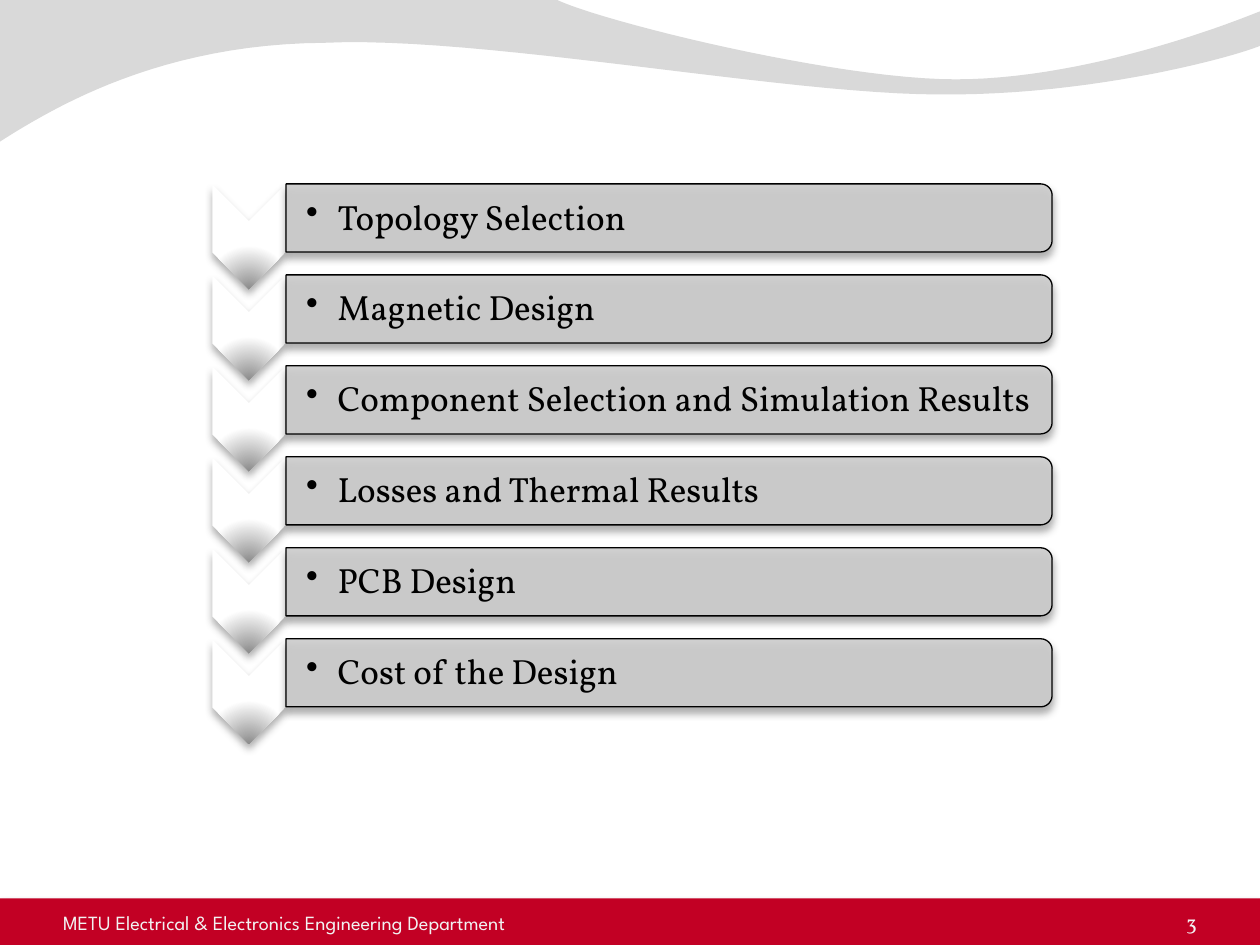
from typing import NamedTuple

from lxml.etree import SubElement
from pptx import Presentation
from pptx.dml.color import RGBColor
from pptx.enum.shapes import MSO_SHAPE
from pptx.enum.text import MSO_ANCHOR, PP_ALIGN
from pptx.oxml import parse_xml
from pptx.oxml.ns import nsdecls, qn
from pptx.util import Inches, Pt

COLORS = {
    "footer": "C20024", "footer_text": "F2F2F2", "footer_shadow": "042747",
    "wave": "D9D9D9", "bar": "CCCCCC", "ink": "000000", "bar_shadow": "484848",
    "chevron_tip": "8C8C8C", "chevron": "FFFFFF", "chevron_shadow": "5A5A5A",
}
TOPICS = [
    "Topology Selection",
    "Magnetic Design",
    "Component Selection and Simulation Results",
    "Losses and Thermal Results",
    "PCB Design",
    "Cost of the Design",
]
PITCH = (5.2 - 1.59) / (len(TOPICS) - 1)


class Box(NamedTuple):
    left: float
    top: float
    width: float
    height: float

    def down(self, distance: float) -> "Box":
        return self._replace(top=self.top + distance)

    def lengths(self) -> list:
        return [Inches(value) for value in self]


# Boxes of the first row; chevron and bar are turned by 90 degrees
CHEVRON = Box(1.56, 1.59, 0.83, 0.58)
BAR = Box(5.04, -1.31, 0.54, 6.08)
LABEL = Box(2.27, 1.49, 6.06, 0.49)

# Each wave segment is one end point, or two control points and an end point
WAVE_START = (0, -0.01)
WAVE_SEGMENTS = [
    [(4.4, -0.01)],
    [(4.76, 0.17), (6.64, 0.63), (7.58, 0.63)],
    [(8.53, 0.63), (9.58, 0.26), (10, 0.09)],
    [(10.01, 0.36)],
    [(9.83, 0.44), (8.7, 0.76), (7.46, 0.75)],
    [(6.22, 0.75), (3.82, 0.28), (2.57, 0.34)],
    [(1.29, 0.35), (0.46, 0.83), (-0.01, 1.13)],
]


def rgb(name: str) -> RGBColor:
    return RGBColor.from_string(COLORS[name])


def curve_points(start: tuple, controls: list, steps: int = 24) -> list:
    """Points along a cubic Bezier curve, without its start."""
    points = []
    for step in range(1, steps + 1):
        t = step / steps
        weights = ((1 - t) ** 3, 3 * t * (1 - t) ** 2, 3 * t * t * (1 - t), t ** 3)
        corners = [start, *controls]
        points.append(tuple(sum(w * c[axis] for w, c in zip(weights, corners))
                            for axis in (0, 1)))
    return points


def add_shadow(shape, color: str) -> None:
    shape._element.spPr.append(parse_xml(
        f'<a:effectLst {nsdecls("a")}><a:outerShdw blurRad="{Pt(4.5)}" dist="{Pt(3)}" '
        f'dir="5400000" rotWithShape="0"><a:srgbClr val="{COLORS[color]}">'
        '<a:alpha val="48000"/></a:srgbClr></a:outerShdw></a:effectLst>'))


def add_wave(slide) -> None:
    points = [WAVE_START]
    for segment in WAVE_SEGMENTS:
        points += curve_points(points[-1], segment) if len(segment) == 3 else segment
    corners = [(Inches(x), Inches(y)) for x, y in points]
    builder = slide.shapes.build_freeform(*corners[0], scale=1.0)
    builder.add_line_segments(corners[1:], close=True)
    wave = builder.convert_to_shape()
    wave.shadow.inherit = False
    wave.fill.solid()
    wave.fill.fore_color.rgb = rgb("wave")
    wave.line.fill.background()


def add_text(slide, box: Box, text: str, font: str, size: float, color: str,
             anchor: MSO_ANCHOR, insets: tuple = (0, 0, 0, 0)):
    """Add a one-paragraph text box and return its paragraph."""
    frame = slide.shapes.add_textbox(*box.lengths()).text_frame
    frame.word_wrap = True
    frame.vertical_anchor = anchor
    (frame.margin_left, frame.margin_top,
     frame.margin_right, frame.margin_bottom) = map(Inches, insets)
    frame.text = text
    paragraph = frame.paragraphs[0]
    run_font = paragraph.runs[0].font
    run_font.name, run_font.size = font, Pt(size)
    run_font.color.rgb = rgb(color)
    return paragraph


def add_bullet(paragraph) -> None:
    paragraph.line_spacing = 0.9
    properties = paragraph._p.get_or_add_pPr()
    properties.set("marL", str(Inches(0.25)))
    properties.set("indent", str(-Inches(0.25)))
    space_after = SubElement(properties, qn("a:spcAft"))
    SubElement(space_after, qn("a:spcPct")).set("val", "15000")
    SubElement(properties, qn("a:buChar")).set("char", "•")


def add_chevron(slide, box: Box) -> None:
    chevron = slide.shapes.add_shape(MSO_SHAPE.CHEVRON, *box.lengths())
    chevron.rotation = 90
    chevron.line.fill.background()
    stops = "".join(
        f'<a:gs pos="{position}000"><a:srgbClr val="{COLORS[color]}"/></a:gs>'
        for position, color in ((0, "chevron_tip"), (68, "chevron"), (100, "chevron")))
    chevron._element.spPr.find(qn("a:prstGeom")).addnext(parse_xml(
        f'<a:gradFill {nsdecls("a")} rotWithShape="1"><a:gsLst>{stops}</a:gsLst>'
        '<a:path path="circle"><a:fillToRect l="50000" t="130000" r="50000" b="-30000"/>'
        '</a:path></a:gradFill>'))
    add_shadow(chevron, "chevron_shadow")


def add_bar(slide, box: Box) -> None:
    bar = slide.shapes.add_shape(MSO_SHAPE.ROUND_2_SAME_RECTANGLE, *box.lengths())
    bar.rotation = 90
    bar.fill.solid()
    bar.fill.fore_color.rgb = rgb("bar")
    fill_color = bar._element.spPr.find(qn("a:solidFill")).find(qn("a:srgbClr"))
    SubElement(fill_color, qn("a:alpha")).set("val", "90000")
    bar.line.color.rgb = rgb("ink")
    bar.line.width = Pt(0.75)
    add_shadow(bar, "bar_shadow")


def add_footer(slide) -> None:
    band = slide.shapes.add_shape(MSO_SHAPE.RECTANGLE, *Box(0, 7.13, 10, 0.37).lengths())
    band.fill.solid()
    band.fill.fore_color.rgb = rgb("footer")
    band.line.fill.background()
    add_shadow(band, "footer_shadow")
    number = add_text(slide, Box(8.87, 7.13, 0.63, 0.29), "3", "Vollkorn", 12,
                      "footer_text", MSO_ANCHOR.BOTTOM)
    number.alignment = PP_ALIGN.RIGHT
    add_text(slide, Box(0.5, 7.13, 4.38, 0.29),
             "METU Electrical & Electronics Engineering Department",
             "League Spartan", 11.5, "footer_text", MSO_ANCHOR.BOTTOM)


def main() -> None:
    presentation = Presentation()
    presentation.slide_width, presentation.slide_height = Inches(10), Inches(7.5)
    slide = presentation.slides.add_slide(presentation.slide_layouts[6])
    add_footer(slide)
    add_wave(slide)
    for row, topic in enumerate(TOPICS):
        offset = row * PITCH
        add_chevron(slide, CHEVRON.down(offset))
        add_bar(slide, BAR.down(offset))
        add_bullet(add_text(slide, LABEL.down(offset), topic, "Vollkorn", 20, "ink",
                            MSO_ANCHOR.MIDDLE, (0.16, 0.01, 0.01, 0.01)))
    presentation.save("out.pptx")


if __name__ == "__main__":
    main()
